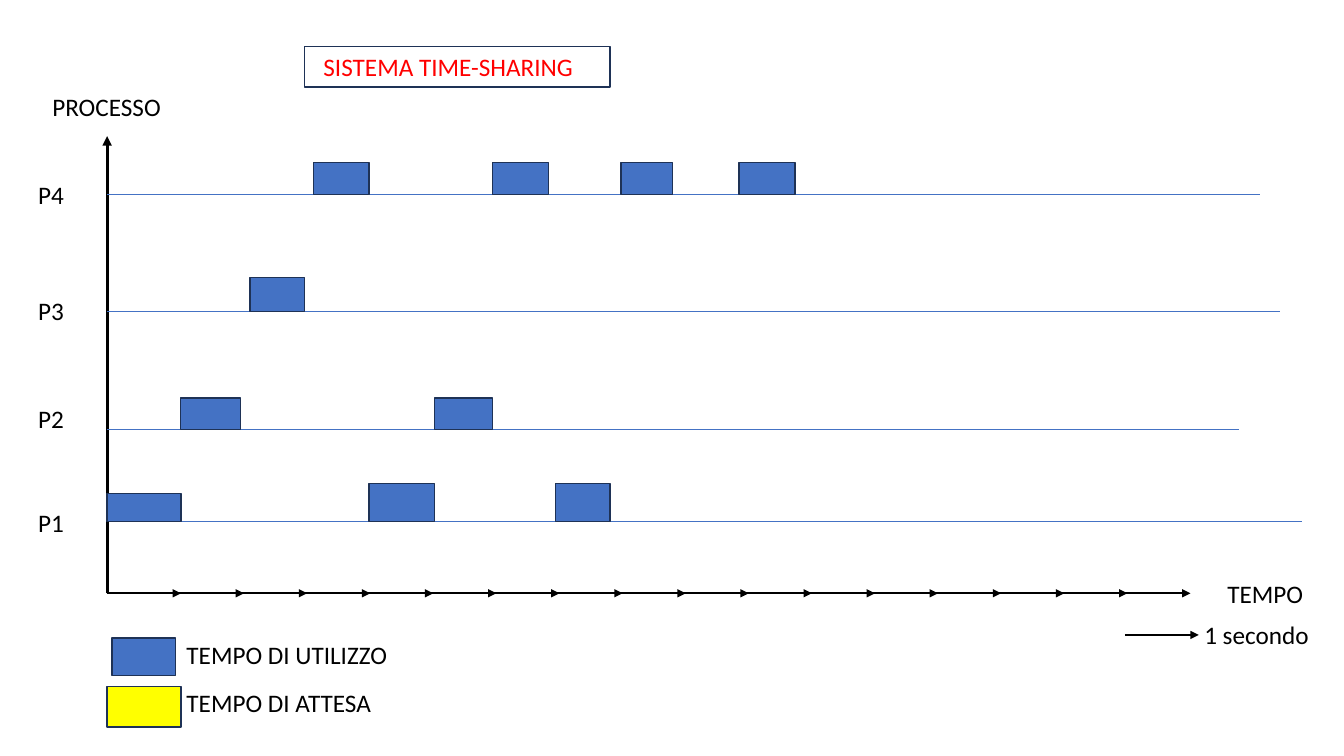
from dataclasses import dataclass

from lxml.etree import SubElement
from pptx import Presentation
from pptx.dml.color import RGBColor
from pptx.enum.shapes import MSO_CONNECTOR, MSO_SHAPE
from pptx.enum.text import MSO_ANCHOR, PP_ALIGN
from pptx.oxml.ns import qn
from pptx.util import Cm, Pt

BLACK, BLUE, NAVY = "000000", "4472C4", "1E3256"
YELLOW, RED = "FFFF00", "FF0000"
LEFT = 2.7       # x of the process axis
BASE = 14.95     # y of the time axis
TICK = 1.86      # length of one second
STEP = 1.59      # distance between arrow tips
TICKS = 17


@dataclass
class Bar:
    left: float
    width: float
    height: float


@dataclass
class Row:
    name: str
    top: float     # top of the label
    line: float    # y of the row line
    end: float     # right end of the row line
    bars: list[Bar]


@dataclass
class Key:
    text: str
    top: float     # top of the label
    fill: str
    box: tuple[float, float, float, float]


ROWS = [
    Row("P4", 4.39, 4.9, 31.75, [Bar(7.9, 1.4, 0.81), Bar(12.42, 1.4, 0.81),
                                 Bar(15.65, 1.3, 0.81), Bar(18.62, 1.42, 0.81)]),
    Row("P3", 7.32, 7.85, 32.26, [Bar(6.3, 1.37, 0.86)]),
    Row("P2", 10.03, 10.82, 31.22, [Bar(4.55, 1.52, 0.79), Bar(10.95, 1.47, 0.79)]),
    Row("P1", 12.65, 13.14, 32.82, [Bar(LEFT, 1.86, 0.71), Bar(9.3, 1.65, 0.95),
                                    Bar(14, 1.37, 0.95)]),
]
KEYS = [
    Key("TEMPO DI UTILIZZO", 15.98, BLUE, (2.82, 16.08, 1.6, 0.94)),
    Key("TEMPO DI ATTESA", 17.2, YELLOW, (LEFT, 17.3, 1.86, 1.02)),
]

deck = Presentation()
deck.slide_width, deck.slide_height = Cm(33.87), Cm(19.05)
slide = deck.slides.add_slide(deck.slide_layouts[5])


def paint(part, tone: str) -> None:
    """Give a fill or a line a solid colour."""
    part.solid()
    part.fore_color.rgb = RGBColor.from_string(tone)


def write(frame, text: str, *, tone: str = BLACK, size: float = 18,
          font: str = "Calibri", wrap: bool = False, inset: float = 0.25) -> None:
    frame.word_wrap = wrap
    frame.margin_left = Cm(inset)
    para = frame.paragraphs[0]
    para.alignment = PP_ALIGN.LEFT
    run = para.add_run()
    run.text = text
    run.font.name, run.font.size = font, Pt(size)
    paint(run.font.fill, tone)


def label(text: str, left: float, top: float, width: float) -> None:
    box = slide.shapes.add_textbox(Cm(left), Cm(top), Cm(width), Cm(1.02))
    write(box.text_frame, text)


def block(left: float, top: float, width: float, height: float, fill: str) -> None:
    box = slide.shapes.add_shape(MSO_SHAPE.RECTANGLE, Cm(left), Cm(top),
                                 Cm(width), Cm(height))
    box.shadow.inherit = False
    paint(box.fill, fill)
    paint(box.line.fill, NAVY)
    box.line.width = Pt(1)


def line(x: float, y: float, to_x: float, to_y: float, *, tone: str = BLACK,
         width: float = 1.5, arrow: bool = True) -> None:
    link = slide.shapes.add_connector(MSO_CONNECTOR.STRAIGHT, Cm(x), Cm(y),
                                      Cm(to_x), Cm(to_y))
    paint(link.line.fill, tone)
    link.line.width = Pt(width)
    if arrow:
        SubElement(link.line._get_or_add_ln(), qn("a:tailEnd"), type="triangle")
    SubElement(link._element.spPr, qn("a:effectLst"))


# Title
title = slide.shapes.title
title.left, title.top, title.width, title.height = Cm(7.67), Cm(1.17), Cm(7.7), Cm(1.02)
title.text_frame.vertical_anchor = MSO_ANCHOR.MIDDLE
write(title.text_frame, "SISTEMA TIME-SHARING", tone=RED, inset=0.48)
paint(title.line.fill, NAVY)
title.line.width = Pt(1)

# Axes, with one arrow per second
line(LEFT, BASE, LEFT, 3.43, width=2.25)
label("PROCESSO", 1.07, 2.18, 3.28)
for tick in range(TICKS):
    start = LEFT + tick * STEP
    line(start, BASE, start + TICK, BASE)
label("TEMPO", 30.68, 14.45, 2.44)

# Processes and their time slices
for row in ROWS:
    label(row.name, 0.71, row.top, 1.17)
    line(LEFT, row.line, row.end, row.line, tone=BLUE, width=0.5, arrow=False)
    for bar in row.bars:
        block(bar.left, row.line - bar.height, bar.width, bar.height, BLUE)

# Time scale
line(28.35, 16, 28.35 + TICK, 16)
label("1 secondo", 30.1, 15.47, 3.18)

# Legend
for key in KEYS:
    block(*key.box, key.fill)
    label(key.text, 4.45, key.top, 6.5)

deck.save("out.pptx")
